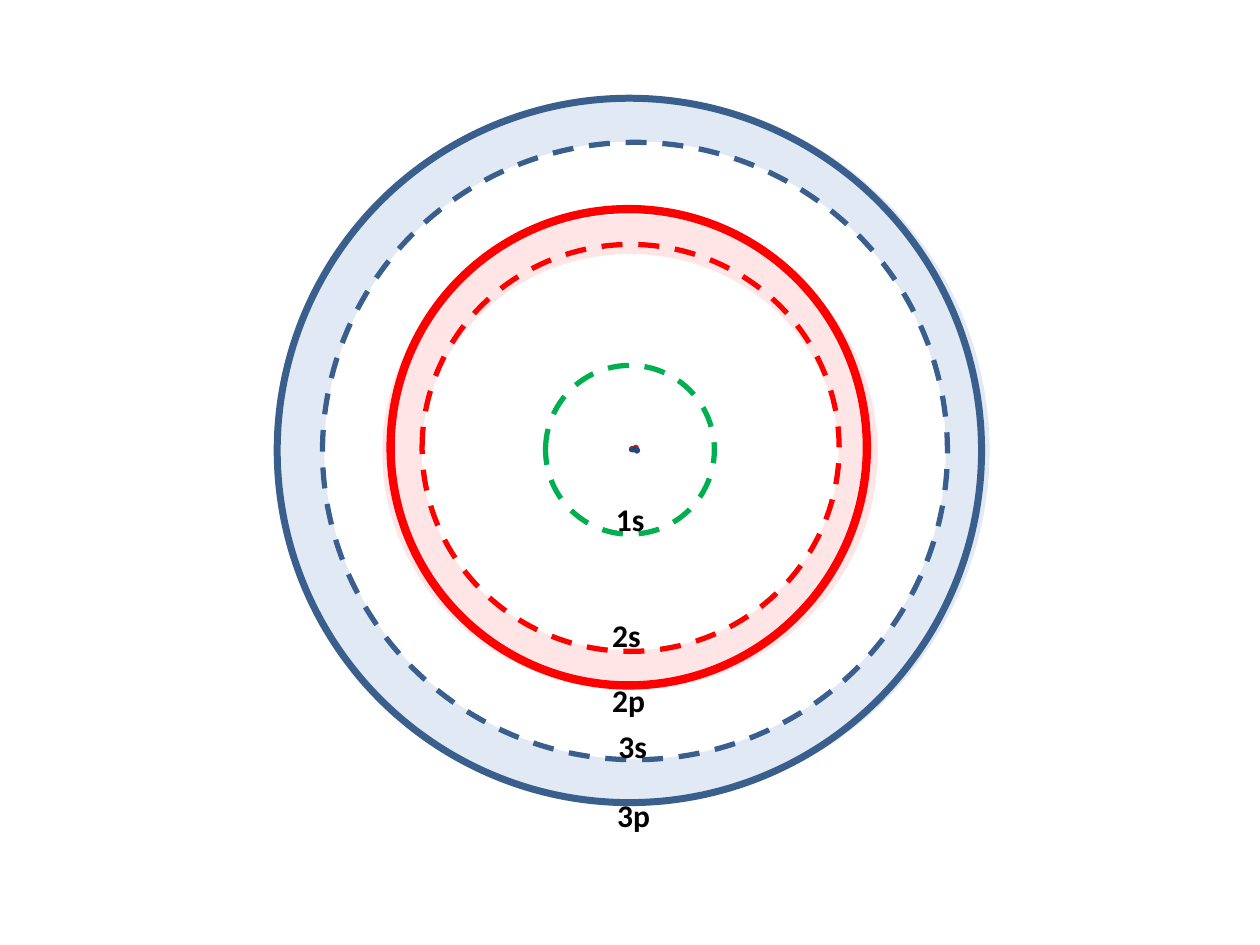
from pptx import Presentation
from pptx.dml.color import RGBColor
from pptx.enum.dml import MSO_LINE
from pptx.enum.shapes import MSO_SHAPE
from pptx.enum.text import MSO_AUTO_SIZE
from pptx.util import Pt

BLACK = RGBColor(0x00, 0x00, 0x00)
RED = RGBColor(0xFF, 0x00, 0x00)
PALE_RED = RGBColor(0xFF, 0xE5, 0xE5)
GREEN = RGBColor(0x00, 0xB0, 0x50)
BLUE = RGBColor(0x3A, 0x5F, 0x8C)
PALE_BLUE = RGBColor(0xE0, 0xE9, 0xF4)
NAVY = RGBColor(0x1F, 0x49, 0x7D)


class OrbitalDiagram:
    """Draws shells, labels and nucleons on one slide."""

    font_name = "Calibri"
    font_size = Pt(18)
    label_size = (Pt(33.84), Pt(28.8))
    nucleon_size = 3.6

    def __init__(self, slide):
        """Keep the slide to draw on."""
        self.slide = slide

    def ellipse(self, left, top, width, height):
        """Add an ellipse without a shadow."""
        shape = self.slide.shapes.add_shape(
            MSO_SHAPE.OVAL, Pt(left), Pt(top), Pt(width), Pt(height))
        shape.shadow.inherit = False
        return shape

    def shell(self, box, color, weight, dashed=False):
        """Add an unfilled ring, solid or dashed."""
        ring = self.ellipse(*box)
        ring.fill.background()
        ring.line.color.rgb = color
        ring.line.width = Pt(weight)
        if dashed:
            ring.line.dash_style = MSO_LINE.DASH

    def nucleon(self, left, top, color):
        """Add a small filled dot."""
        dot = self.ellipse(left, top, self.nucleon_size, self.nucleon_size)
        dot.fill.solid()
        dot.fill.fore_color.rgb = color
        dot.line.fill.background()

    def label(self, text, left, top):
        """Add a bold orbital name."""
        box = self.slide.shapes.add_textbox(Pt(left), Pt(top), *self.label_size)
        frame = box.text_frame
        frame.word_wrap = True
        frame.auto_size = MSO_AUTO_SIZE.SHAPE_TO_FIT_TEXT
        run = frame.paragraphs[0].add_run()
        run.text = text
        run.font.name = self.font_name
        run.font.size = self.font_size
        run.font.bold = True
        run.font.color.rgb = BLACK


SHELLS = [
    ((172.8, 68.4, 380.16, 378), PALE_BLUE, 25),
    ((229.68, 133.92, 260.64, 249.12), PALE_RED, 22.5),
    ((311.76, 208.8, 96.48, 96.48), GREEN, 3, True),
    ((241.2, 139.68, 238.32, 232.56), RED, 3, True),
    ((223.2, 119.52, 272.16, 272.16), RED, 4.75),
    ((184.32, 81.36, 357.12, 352.8), BLUE, 3, True),
    ((158.4, 56.16, 402.48, 402.48), BLUE, 4),
]
LABELS = [
    ("1s", 344.88, 282.24),
    ("2s", 342.72, 348.48),
    ("2p", 342.72, 385.92),
    ("3s", 346.32, 411.84),
    ("3p", 345.6, 451.44),
]
NUCLEONS = [
    (359.28, 254.88, RED),
    (361.44, 254.16, RED),
    (362.16, 255.6, NAVY),
    (360, 254.88, NAVY),
]


def main():
    """Build and save the slide."""
    deck = Presentation()
    deck.slide_width, deck.slide_height = Pt(720), Pt(540)
    blank = deck.slide_layouts.get_by_name("Blank")
    diagram = OrbitalDiagram(deck.slides.add_slide(blank))
    for shell in SHELLS:
        diagram.shell(*shell)
    for label in LABELS:
        diagram.label(*label)
    for nucleon in NUCLEONS:
        diagram.nucleon(*nucleon)
    deck.save("out.pptx")


main()
